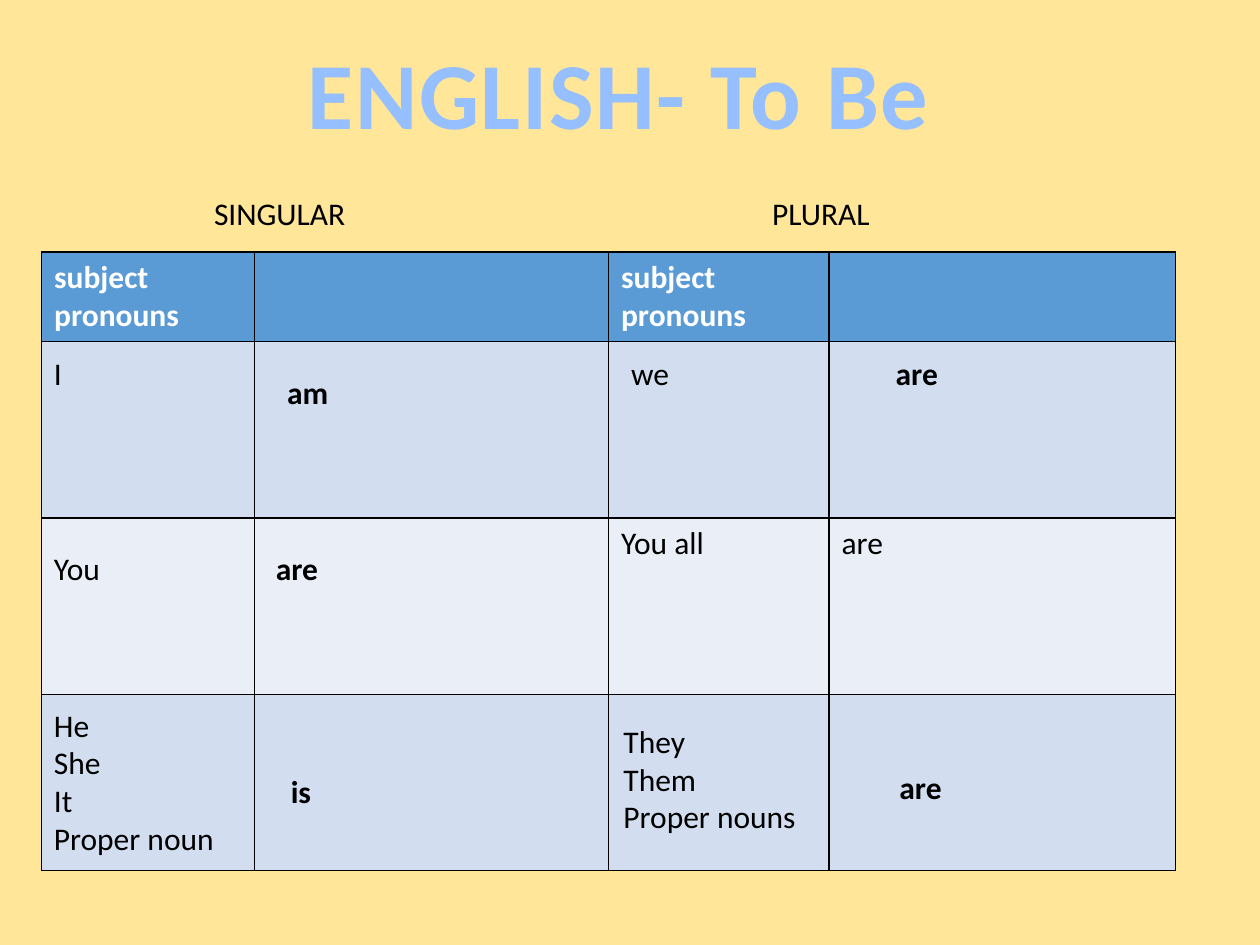
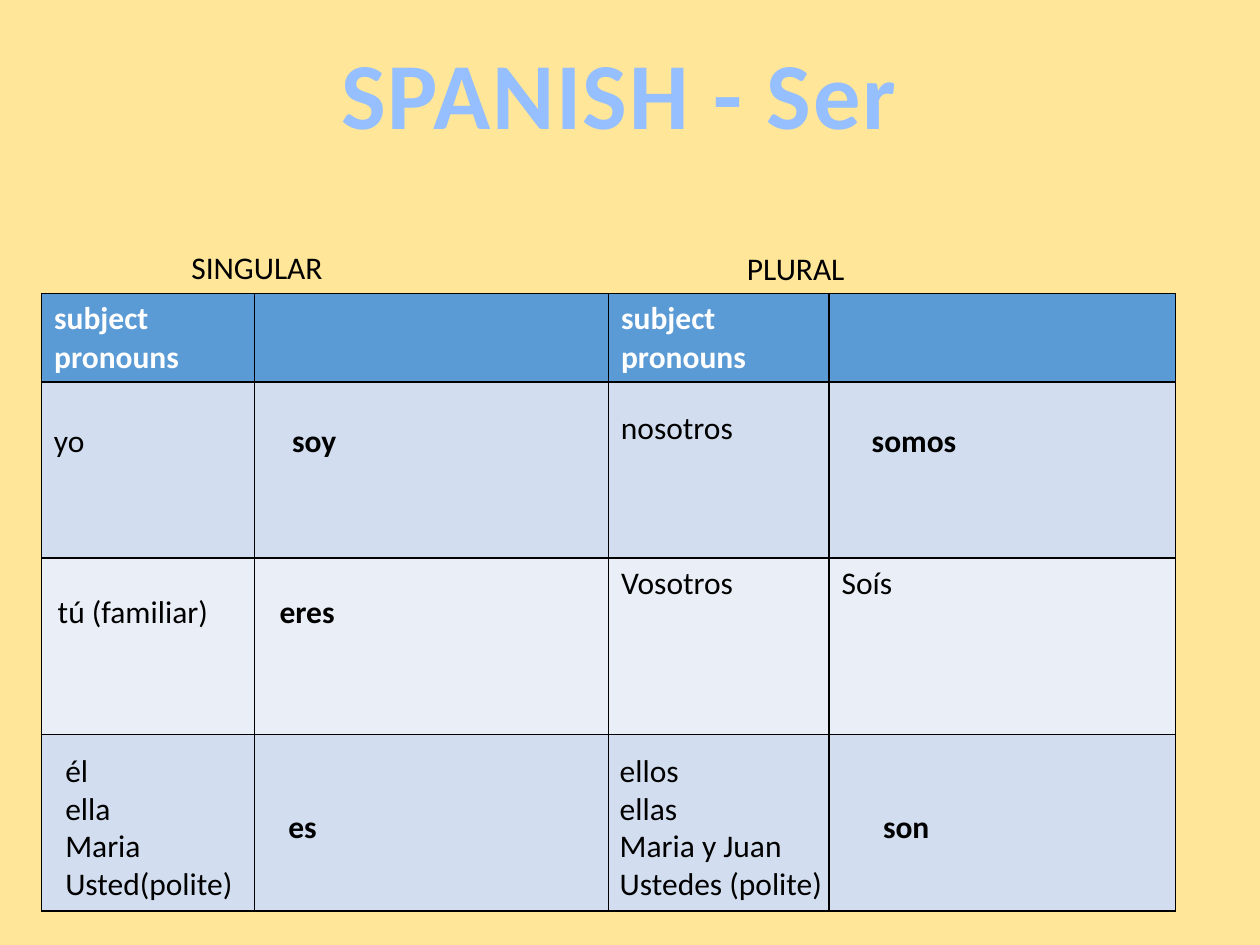
"""Builds two slides comparing the verb "to be" in English and Spanish."""
import lxml.etree
import pptx
import pptx.dml.color
import pptx.enum.text
import pptx.oxml
import pptx.oxml.ns
import pptx.util

EMU_PER_PX = 9144
FONT = "Calibri"
COLOURS = {
    "background": "FFE699",
    "title": "319DFF",
    "title_outline": "96BFFF",
    "header": "5B9BD5",
    "band_dark": "D2DEEF",
    "band_light": "EAEFF7",
    "header_text": "FFFFFF",
    "text": "000000",
}
COLUMN_WIDTHS = [169, 281, 175, 275]
ROW_HEIGHTS = [67, 140, 140, 140]
ROW_FILLS = ["header", "band_dark", "band_light", "band_dark"]

SLIDES = [
    {
        "title": ("ENGLISH- To Be", 231, 520),
        "table_top": 200,
        "plural_you": ("You all", "are"),
        "labels": [
            (["SINGULAR"], 160, 149, 159, 40, False),
            (["PLURAL"], 603, 149, 117, 40, False),
            (["I"], 33, 276, 54, 40, False),
            (["You"], 33, 431, 160, 40, False),
            (["He", "She", "It", "Proper noun"], 33, 555, 176, 131, False),
            (["we"], 491, 276, 69, 40, False),
            (["They", "Them", "Proper nouns"], 485, 568, 207, 101, False),
            (["am"], 218, 291, 101, 40, True),
            (["are"], 209, 431, 101, 40, True),
            (["is"], 221, 608, 50, 40, True),
            (["are"], 704, 605, 101, 40, True),
            (["are"], 701, 276, 101, 40, True),
        ],
    },
    {
        "title": ("SPANISH - Ser", 258, 467),
        "table_top": 233,
        "plural_you": ("Vosotros", "Soís"),
        "labels": [
            (["SINGULAR"], 142, 192, 142, 40, False),
            (["PLURAL"], 583, 193, 142, 40, False),
            (["yo"], 33, 329, 89, 40, False),
            (["tú (familiar)"], 36, 465, 145, 40, False),
            (["él", "ella", "Maria", "Usted(polite)"], 42, 591, 160, 131, False),
            (["nosotros"], 483, 319, 190, 101, False),
            (["ellos", "ellas", "Maria y Juan", "Ustedes (polite)"], 482, 591, 182, 131, False),
            (["soy"], 222, 329, 129, 40, True),
            (["son"], 691, 636, 129, 40, True),
            (["es"], 219, 636, 129, 40, True),
            (["eres"], 212, 465, 129, 40, True),
            (["somos"], 682, 329, 129, 40, True),
        ],
    },
]


def px(*lengths):
    return [pptx.util.Emu(length * EMU_PER_PX) for length in lengths]


def write(frame, lines, colour="text", bold=False, size=18):
    for number, line in enumerate(lines):
        para = frame.add_paragraph() if number else frame.paragraphs[0]
        span = para.add_run()
        span.text = line
        span.font.name = FONT
        span.font.size = pptx.util.Pt(size)
        span.font.bold = bold
        span.font.color.rgb = pptx.dml.color.RGBColor.from_string(COLOURS[colour])


deck = pptx.Presentation()
deck.slide_width, deck.slide_height = px(1000, 750)

for content in SLIDES:
    page = deck.slides.add_slide(deck.slide_layouts[6])
    page.background.fill.solid()
    page.background.fill.fore_color.rgb = pptx.dml.color.RGBColor.from_string(COLOURS["background"])

    place = px(33, content["table_top"], sum(COLUMN_WIDTHS), sum(ROW_HEIGHTS))
    table = page.shapes.add_table(len(ROW_HEIGHTS), len(COLUMN_WIDTHS), *place).table
    table.first_row = False
    table.horz_banding = False
    for column, width in zip(table.columns, px(*COLUMN_WIDTHS)):
        column.width = width
    for row, height, fill in zip(table.rows, px(*ROW_HEIGHTS), ROW_FILLS):
        row.height = height
        for cell in row.cells:
            cell.fill.solid()
            cell.fill.fore_color.rgb = pptx.dml.color.RGBColor.from_string(COLOURS[fill])
            properties = cell._tc.get_or_add_tcPr()
            for position, side in enumerate(["lnL", "lnR", "lnT", "lnB"]):
                properties.insert(position, pptx.oxml.parse_xml(
                    f'<a:{side} {pptx.oxml.ns.nsdecls("a")} w="12700"><a:solidFill>'
                    f'<a:srgbClr val="{COLOURS["text"]}"/></a:solidFill></a:{side}>'))
    for column in (0, 2):
        write(table.cell(0, column).text_frame, ["subject", "pronouns"], "header_text", True)
    for column, word in enumerate(content["plural_you"], start=2):
        write(table.cell(2, column).text_frame, [word])

    title, left, width = content["title"]
    box = page.shapes.add_textbox(*px(left, 23, width, 101))
    box.text_frame.word_wrap = False
    write(box.text_frame, [title], "title", True, 54)
    para = box.text_frame.paragraphs[0]
    para.alignment = pptx.enum.text.PP_ALIGN.CENTER
    properties = para.runs[0].font._element
    properties.set("spc", "100")
    tint = properties.find(".//" + pptx.oxml.ns.qn("a:srgbClr"))
    lxml.etree.SubElement(tint, pptx.oxml.ns.qn("a:alpha"), val="6000")
    properties.insert(0, pptx.oxml.parse_xml(
        f'<a:ln {pptx.oxml.ns.nsdecls("a")} w="18000"><a:solidFill>'
        f'<a:srgbClr val="{COLOURS["title_outline"]}"/></a:solidFill></a:ln>'))

    for lines, left, top, width, height, bold in content["labels"]:
        box = page.shapes.add_textbox(*px(left, top, width, height))
        box.text_frame.word_wrap = True
        write(box.text_frame, lines, bold=bold)

deck.save("out.pptx")
